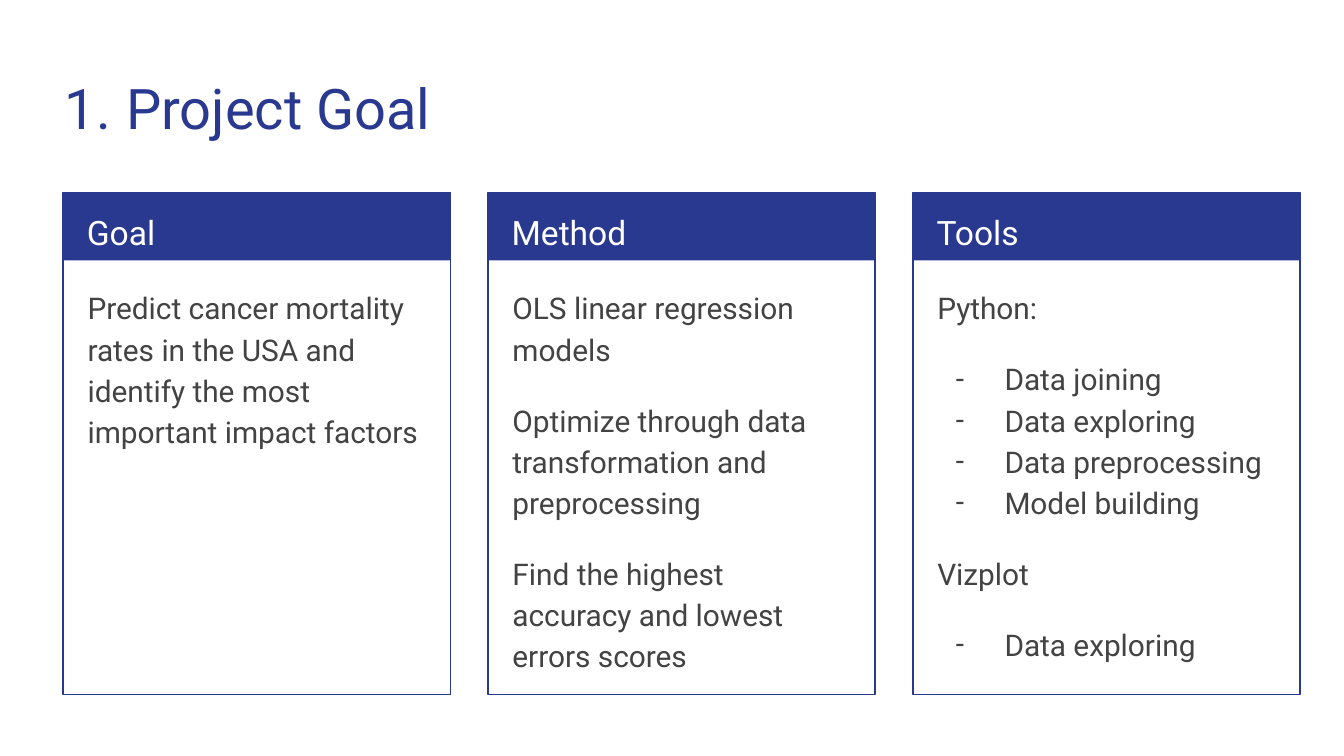
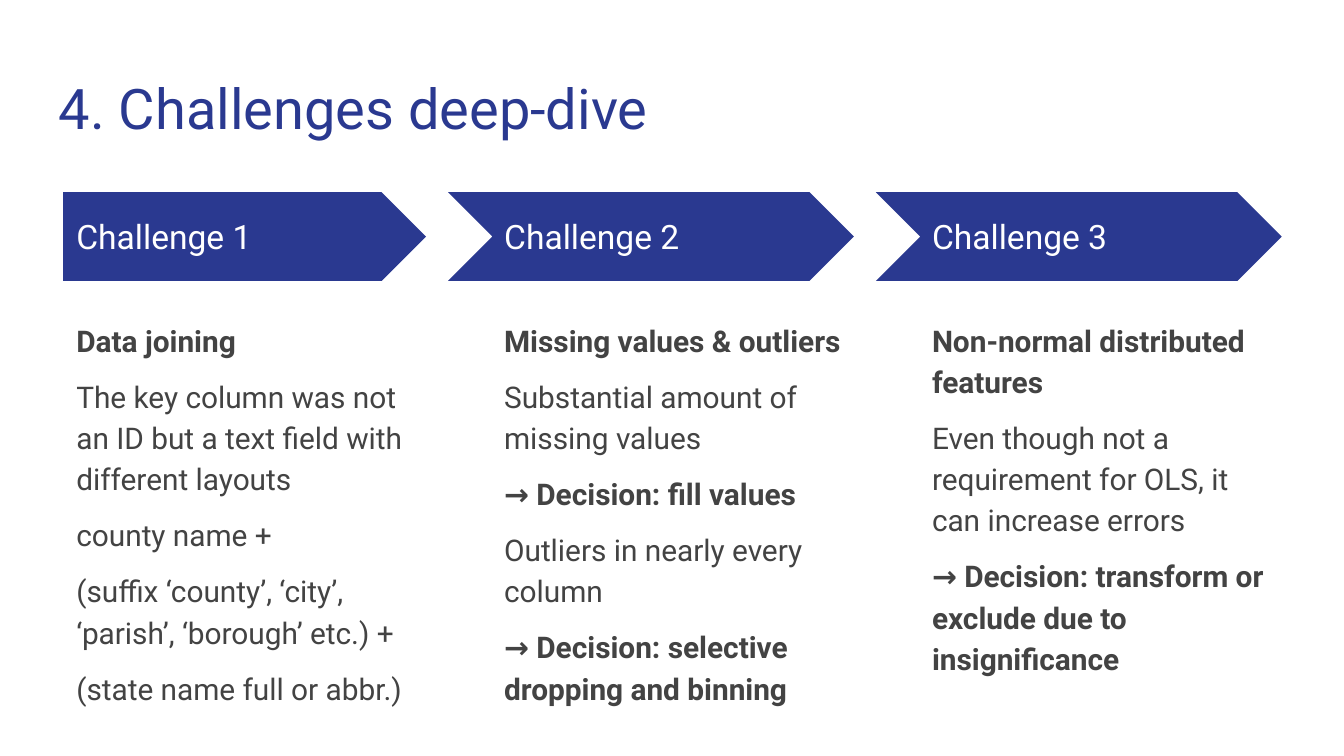
from pptx import Presentation
from pptx.dml.color import RGBColor
from pptx.enum.shapes import MSO_SHAPE as SHAPE
from pptx.enum.text import MSO_ANCHOR as ANCHOR
from pptx.oxml.ns import qn
from pptx.util import Pt
from lxml.etree import SubElement

COLORS = {"blue": "2A3990", "text": "434343", "white": "FFFFFF"}
FONT = "Roboto"

# "- " starts a dash item
CARDS = [
    ("Goal", ["Predict cancer mortality rates in the USA and identify the most important impact factors"]),
    ("Method", [
        "OLS linear regression models",
        "Optimize through data transformation and preprocessing",
        "Find the highest accuracy and lowest errors scores",
    ]),
    ("Tools", [
        "Python:",
        "- Data joining",
        "- Data exploring",
        "- Data preprocessing",
        "- Model building",
        "Vizplot",
        "- Data exploring",
    ]),
]

# The first line and every decision are bold
CHALLENGES = [
    ("Challenge 1", [
        "Data joining",
        "The key column was not an ID but a text field with different layouts",
        "county name +",
        "(suffix ‘county’, ‘city’, ‘parish’, ‘borough’ etc.) +",
        "(state name full or abbr.)",
    ]),
    ("Challenge 2", [
        "Missing values & outliers",
        "Substantial amount of missing values",
        "→ Decision: fill values",
        "Outliers in nearly every column",
        "→ Decision: selective dropping and binning",
    ]),
    ("Challenge 3", [
        "Non-normal distributed features",
        "Even though not a requirement for OLS, it can increase errors",
        "→ Decision: transform or exclude due to insignificance",
    ]),
]

LEFT, TOP = 33.84, 103
CARD_W, CARD_H, CARD_PITCH, HEADER_H = 207.4, 269.2, 227.6, 36.5
ARROW_W, ARROW_H, ARROW_PITCH, NOTCH = 194.4, 47.5, 229.2, 23


def rgb(name):
    return RGBColor.from_string(COLORS[name])


def add_bullet(p, tag, margin, hang, color, **attrs):
    pPr = p._p.get_or_add_pPr()
    pPr.set("marL", str(Pt(margin)))
    pPr.set("indent", str(-Pt(hang)))
    clr = SubElement(pPr, qn("a:buClr"))
    SubElement(clr, qn("a:srgbClr")).set("val", COLORS[color])
    SubElement(pPr, qn("a:buFont")).set("typeface", FONT)
    bullet = SubElement(pPr, qn(tag))
    for key, value in attrs.items():
        bullet.set(key, value)


def add_text(s, lines, x, y, w, h, size=16, color="text", spacing=1.15,
             gap=0, bold=lambda i, line: False, anchor=ANCHOR.TOP):
    """Add a text box; a dash item that follows another one gets no gap."""
    tf = s.shapes.add_textbox(Pt(x), Pt(y), Pt(w), Pt(h)).text_frame
    tf.word_wrap = True
    tf.vertical_anchor = anchor
    tf.margin_left = tf.margin_right = tf.margin_top = tf.margin_bottom = Pt(7.2)
    was_dash = False
    for i, line in enumerate(lines):
        p = tf.paragraphs[0] if i == 0 else tf.add_paragraph()
        is_dash = line.startswith("- ")
        p.line_spacing = spacing
        if i and not (is_dash and was_dash):
            p.space_before = Pt(gap)
        if is_dash:
            add_bullet(p, "a:buChar", 36, 26, color, char="-")
        r = p.add_run()
        r.text = line.removeprefix("- ")
        r.font.name, r.font.size, r.font.bold = FONT, Pt(size), bold(i, line)
        r.font.color.rgb = rgb(color)
        was_dash = is_dash
    return tf


def add_box(s, kind, x, y, w, h, filled=True):
    """Add a blue shape, either filled or outlined."""
    sp = s.shapes.add_shape(kind, Pt(x), Pt(y), Pt(w), Pt(h))
    sp.shadow.inherit = False
    if filled:
        sp.fill.solid()
        sp.fill.fore_color.rgb = rgb("blue")
        sp.line.fill.background()
    else:
        sp.fill.background()
        sp.line.color.rgb = rgb("blue")
        sp.line.width = Pt(0.75)


def new_slide(prs, title):
    s = prs.slides.add_slide(prs.slide_layouts[6])
    tf = add_text(s, [title], 24.5, 32.4, 671, 47.5, size=30, color="blue", spacing=1.0)
    return s, tf


def goal_slide(prs):
    s, title = new_slide(prs, "Project Goal")
    add_bullet(title.paragraphs[0], "a:buAutoNum", 36, 33, "blue", type="arabicPeriod")
    for i, (heading, lines) in enumerate(CARDS):
        x = LEFT + i * CARD_PITCH
        add_box(s, SHAPE.RECTANGLE, x, TOP, CARD_W, HEADER_H)
        add_box(s, SHAPE.RECTANGLE, x, TOP, CARD_W, CARD_H, filled=False)
        add_text(s, [heading], x + 5.6, TOP, 196.6, 36, size=18, color="white")
        add_text(s, lines, x + 6, 145.4, 195, 220.3, gap=16)


def challenges_slide(prs):
    s, _ = new_slide(prs, "4. Challenges deep-dive")
    for i, (heading, lines) in enumerate(CHALLENGES):
        x = LEFT + i * ARROW_PITCH
        if i == 0:
            add_box(s, SHAPE.PENTAGON, x, TOP, ARROW_W, ARROW_H)
        else:
            add_box(s, SHAPE.CHEVRON, x - NOTCH, TOP, ARROW_W + NOTCH, ARROW_H)
        add_text(s, [heading], x, 114.5, 178, 24.5, size=18, color="white",
                 spacing=1.0, anchor=ANCHOR.MIDDLE)
        add_text(s, lines, x, 162.7, 197, 208.8, gap=8,
                 bold=lambda n, line: n == 0 or line.startswith("→"))


def main():
    prs = Presentation()
    prs.slide_width, prs.slide_height = Pt(720), Pt(405)
    goal_slide(prs)
    challenges_slide(prs)
    prs.save("out.pptx")


if __name__ == "__main__":
    main()
